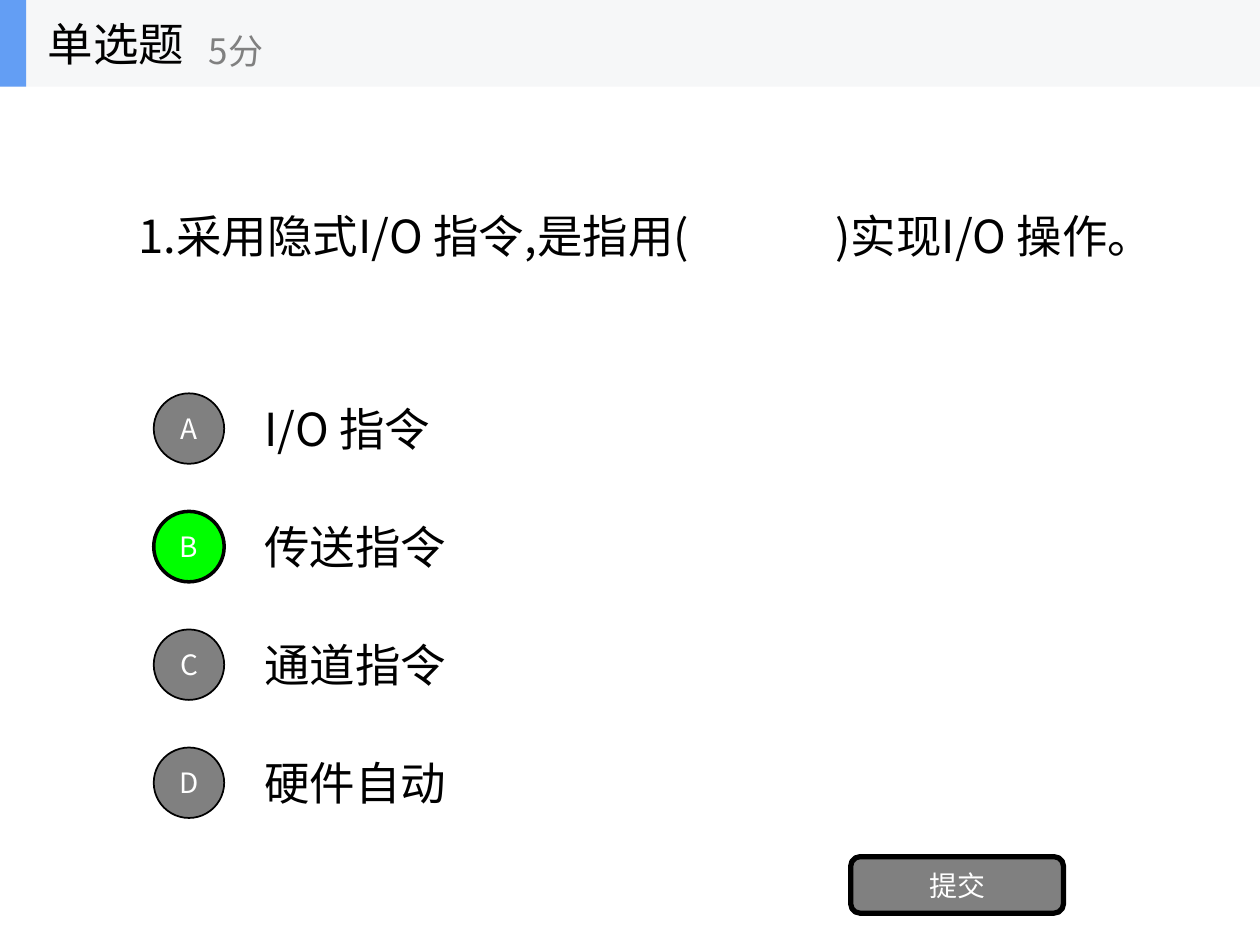
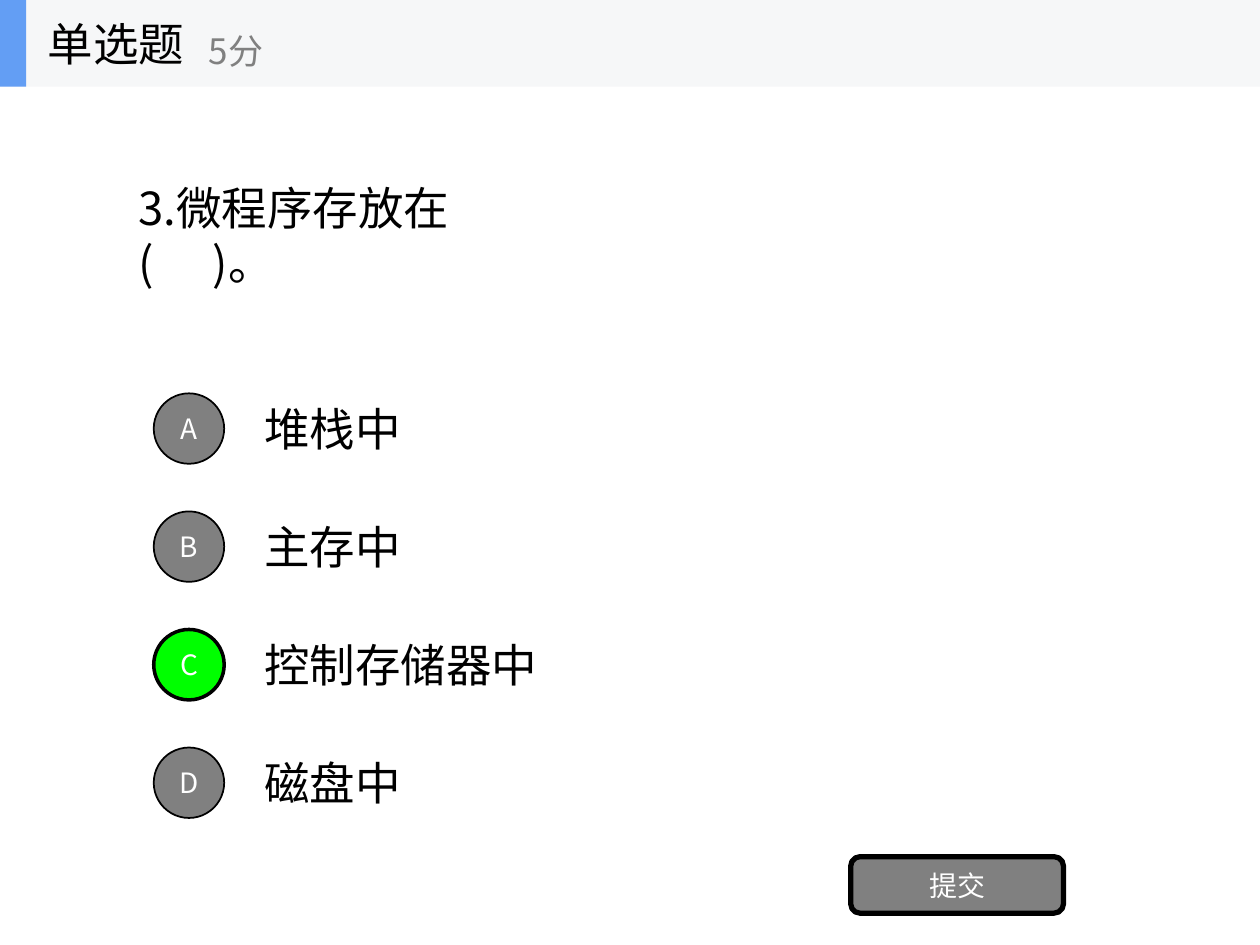
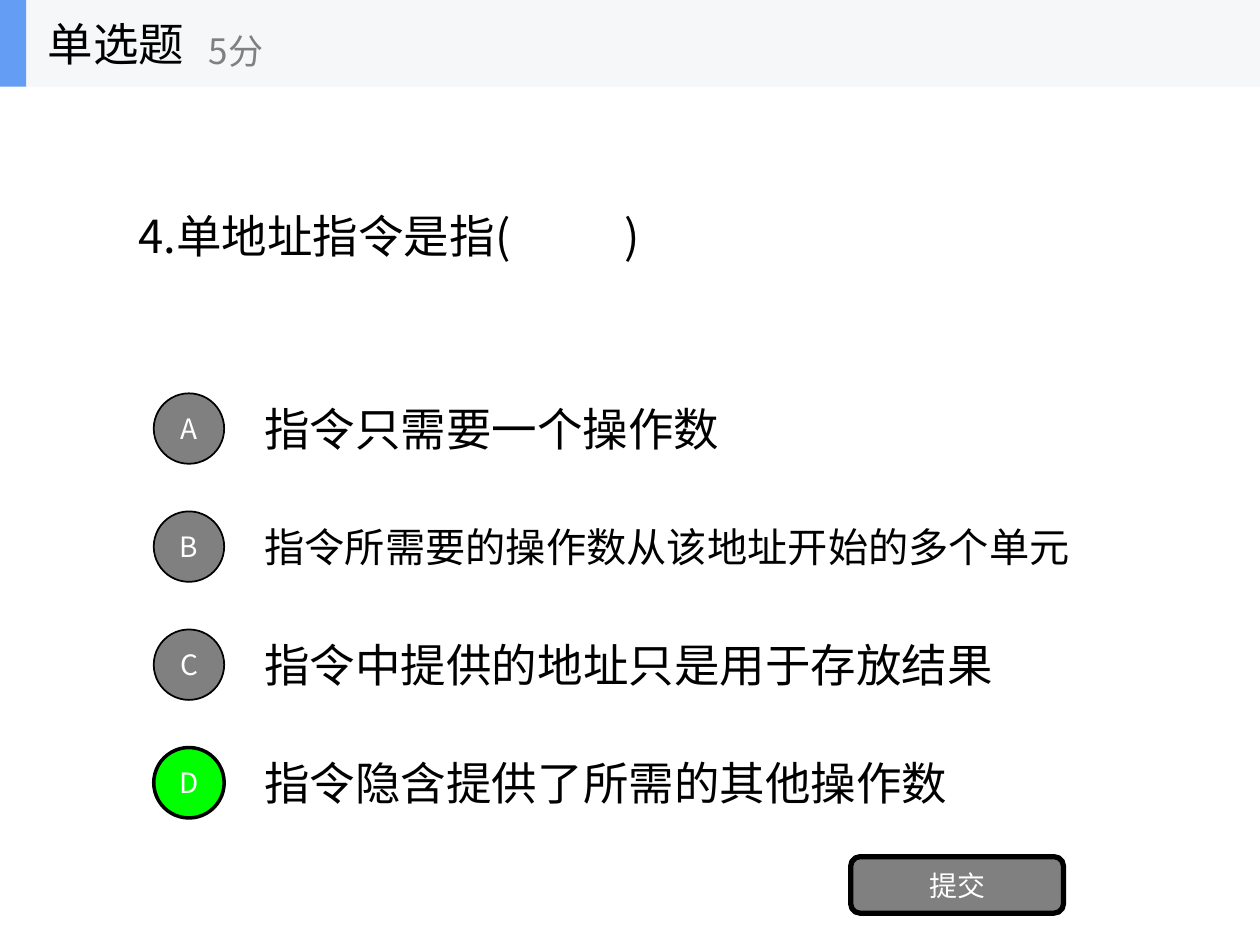
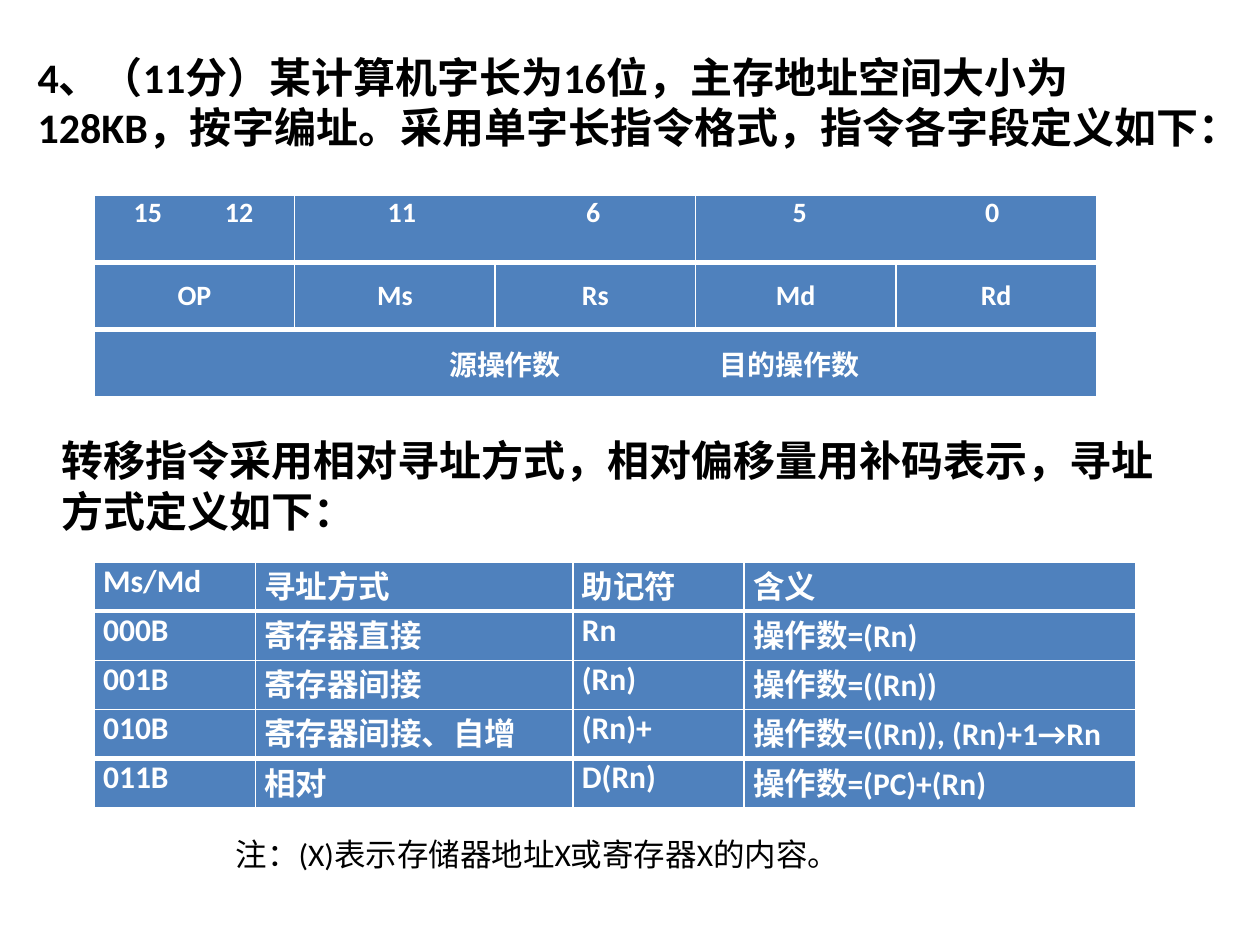
from lxml.etree import SubElement as Sub
from pptx import Presentation
from pptx.dml.color import RGBColor as Rgb
from pptx.enum.shapes import MSO_SHAPE as Kind
from pptx.enum.text import MSO_ANCHOR as Anchor, MSO_AUTO_SIZE as Fit, PP_ALIGN as Align
from pptx.oxml.ns import qn
from pptx.util import Cm, Pt

HUES = {
    "black": "000000", "white": "FFFFFF", "gray": "808080", "green": "00FF00",
    "band": "F6F7F8", "mark": "639EF4", "blue": "4F81BD",
}
NOTO, LATIN = "Noto Sans CJK SC", "Calibri"


def put(frame, text, size=26, hue="black", font=NOTO, bold=False,
        align=Align.LEFT, tabs=(), stop="l"):
    par = frame.paragraphs[0]
    par.text = text
    par.alignment = align
    if tabs:
        stops = Sub(par._p.get_or_add_pPr(), qn("a:tabLst"))
        for pos in tabs:
            Sub(stops, qn("a:tab"), pos=str(Cm(pos)), algn=stop)
    for run in par.runs:
        run.font.size = Pt(size)
        run.font.bold = bold
        run.font.name = font
        run.font.color.rgb = Rgb.from_string(HUES[hue])
        Sub(run._r.get_or_add_rPr(), qn("a:ea"), typeface=NOTO)


def box(home, at, text="", kind=None, fill=None, line=0, anchor=Anchor.MIDDLE,
        wrap=True, grow=True, **form):
    spot = [Cm(n) for n in at]
    if kind is None:
        shape = home.add_textbox(*spot)
    else:
        shape = home.add_shape(kind, *spot)
        shape.shadow.inherit = False
        shape.fill.solid()
        shape.fill.fore_color.rgb = Rgb.from_string(HUES[fill])
        if line:
            shape.line.color.rgb = Rgb.from_string(HUES["black"])
            shape.line.width = Pt(line)
        else:
            shape.line.fill.background()
    frame = shape.text_frame
    frame.word_wrap = wrap
    frame.vertical_anchor = anchor
    if kind is None and grow:
        frame.auto_size = Fit.SHAPE_TO_FIT_TEXT
    if text:
        put(frame, text, **form)


deck = Presentation()
deck.slide_width, deck.slide_height = Cm(25.4), Cm(19.05)
blank = deck.slide_layouts[6]

quiz = [
    ("1.采用隐式I/O 指令,是指用(\t)实现I/O 操作。", 20.32, 14.05, "B",
     [("I/O 指令", 26), ("传送指令", 26), ("通道指令", 26), ("硬件自动", 26)]),
    ("3.微程序存放在\v(\t)。", 10.21, 1.5, "C",
     [("堆栈中", 26), ("主存中", 26), ("控制存储器中", 26), ("磁盘中", 26)]),
    ("4.单地址指令是指(\t)", 11.02, 9.8, "D",
     [("指令只需要一个操作数", 26), ("指令所需要的操作数从该地址开始的多个单元", 23),
      ("指令中提供的地址只是用于存放结果", 26), ("指令隐含提供了所需的其他操作数", 26)]),
]
badge = dict(size=16, hue="white", align=Align.CENTER)

for ask, width, gap, key, picks in quiz:
    page = deck.slides.add_slide(blank).shapes
    box(page, (2.54, 4.06, width, 1.35), ask, tabs=[gap])
    for row, (name, pick) in enumerate(zip("ABCD", picks)):
        text, size = pick
        mid = 8.64 + 2.38 * row
        ems = sum(1 if ord(sign) > 255 else 0.46 for sign in text)
        tall = size * 0.05
        box(page, (5.08, mid - tall / 2, ems * size * 0.0353 + 0.79, tall), text, size=size)
        right = name == key
        box(page, (3.1, mid - 0.71, 1.42, 1.42), name, Kind.OVAL,
            "green" if right else "gray", 2 if right else 1, **badge)
    box(page, (17.15, 17.27, 4.29, 1.14), "提交", Kind.ROUNDED_RECTANGLE, "gray", 3, **badge)
    head = page.add_group_shape().shapes
    box(head, (0, 0, 25.4, 1.75), kind=Kind.RECTANGLE, fill="band")
    box(head, (0, 0, 0.53, 1.75), kind=Kind.RECTANGLE, fill="mark")
    box(head, (0.71, 0, 5.28, 1.75), "单选题", wrap=False, grow=False)
    box(head, (3.96, 0.3, 6.35, 1.42), "5分", wrap=False, grow=False, size=20, hue="gray")

page = deck.slides.add_slide(blank).shapes
bold = dict(anchor=Anchor.TOP, size=24, font=LATIN, bold=True)
box(page, (0.51, 0.91, 24.21, 3.33),
    "4、（11分）某计算机字长为16位，主存地址空间大小为128KB，按字编址。"
    "采用单字长指令格式，指令各字段定义如下：", **bold)
box(page, (0.99, 8.64, 23.19, 2.31),
    "转移指令采用相对寻址方式，相对偏移量用补码表示，寻址方式定义如下：", **bold)

fields = [
    ["\t15\t12", "\t11\t6", "", "\t5\t0", ""],
    ["OP", "Ms", "Rs", "Md", "Rd"],
    ["\t源操作数\t目的操作数", "", "", "", ""],
]
modes = [
    ["Ms/Md", "寻址方式", "助记符", "含义"],
    ["000B", "寄存器直接", "Rn", "操作数=(Rn)"],
    ["001B", "寄存器间接", "(Rn)", "操作数=((Rn))"],
    ["010B", "寄存器间接、自增", "(Rn)+", "操作数=((Rn)), (Rn)+1→Rn"],
    ["011B", "相对", "D(Rn)", "操作数=(PC)+(Rn)"],
]
stops = {(0, 0): [0.9, 2.74], (0, 1): [1.98, 5.84], (0, 3): [1.92, 5.8], (2, 0): [8.1, 13.84]}
plans = [
    (fields, 3.94, [4.04] * 5, 1.35, 16, Align.CENTER, stops,
     [(0, 1, 0, 2), (0, 3, 0, 4), (2, 0, 2, 4)]),
    (modes, 11.33, [3.25, 6.4, 3.45, 7.9], 0.99, 18, Align.JUSTIFY, {}, []),
]
for data, top, cols, tall, size, align, tabs, spans in plans:
    last = len(data) - 1
    grid = page.add_table(len(data), len(cols), Cm(1.9), Cm(top),
                          Cm(sum(cols)), Cm(tall * len(data))).table
    grid.first_row = grid.horz_banding = False
    for col, width in zip(grid.columns, cols):
        col.width = Cm(width)
    for y, x, y2, x2 in spans:
        grid.cell(y, x).merge(grid.cell(y2, x2))
    for y, line in enumerate(data):
        grid.rows[y].height = Cm(tall)
        for x, text in enumerate(line):
            cell = grid.cell(y, x)
            cell.margin_left = cell.margin_right = Cm(0.18)
            cell.margin_top = cell.margin_bottom = 0
            if align == Align.CENTER and y:
                cell.vertical_anchor = Anchor.MIDDLE
            thick = {"L": 1, "R": 1, "T": 3 if y in (1, last) else 1,
                     "B": 3 if y in (0, last - 1) else 1}
            for side, wide in thick.items():
                edge = Sub(cell._tc.get_or_add_tcPr(), qn("a:ln" + side), w=str(Pt(wide)))
                Sub(Sub(edge, qn("a:solidFill")), qn("a:srgbClr"), val=HUES["white"])
            cell.fill.solid()
            cell.fill.fore_color.rgb = Rgb.from_string(HUES["blue"])
            if text:
                place = tabs.get((y, x), ())
                put(cell.text_frame, text, size, "white", LATIN, True,
                    Align.LEFT if place else align, place, "ctr")

box(page, (4.5, 16.71, 12.8, 1.02), "注：(X)表示存储器地址X或寄存器X的内容。",
    anchor=Anchor.TOP, size=18, font=LATIN)
deck.save("out.pptx")
